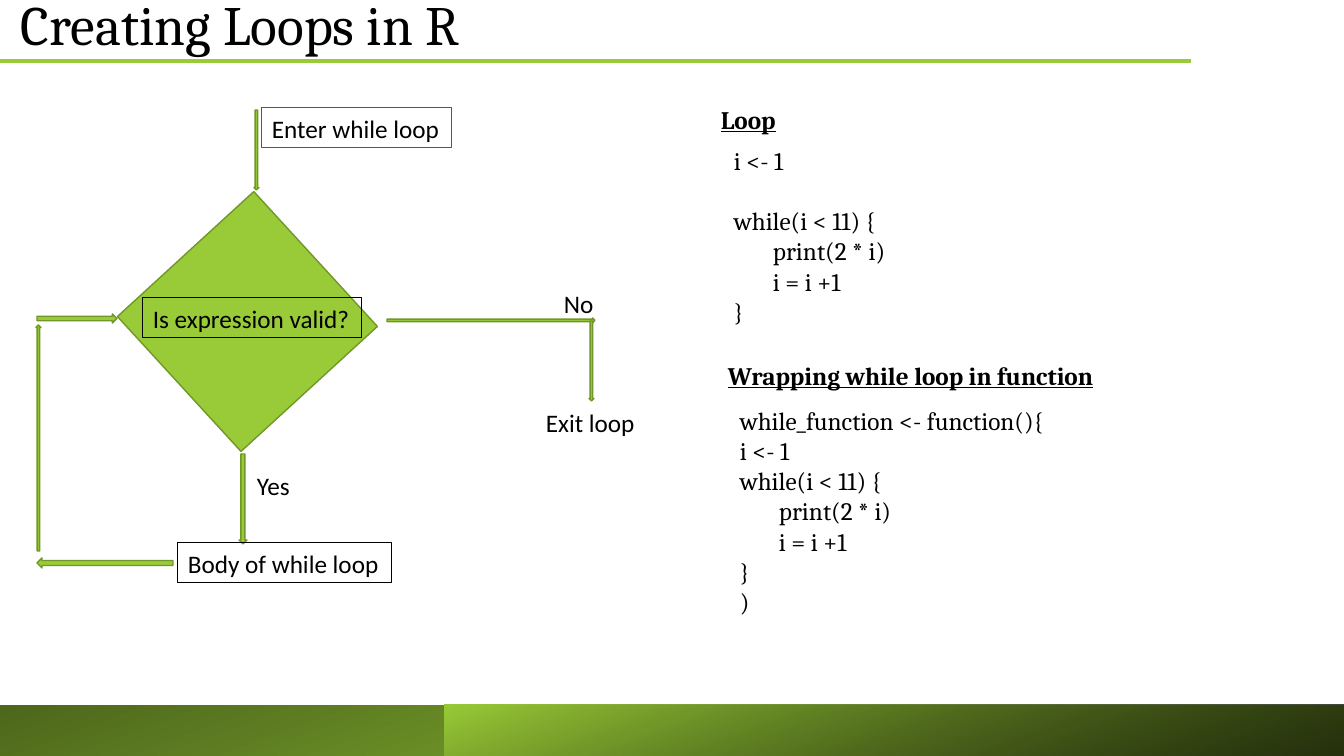
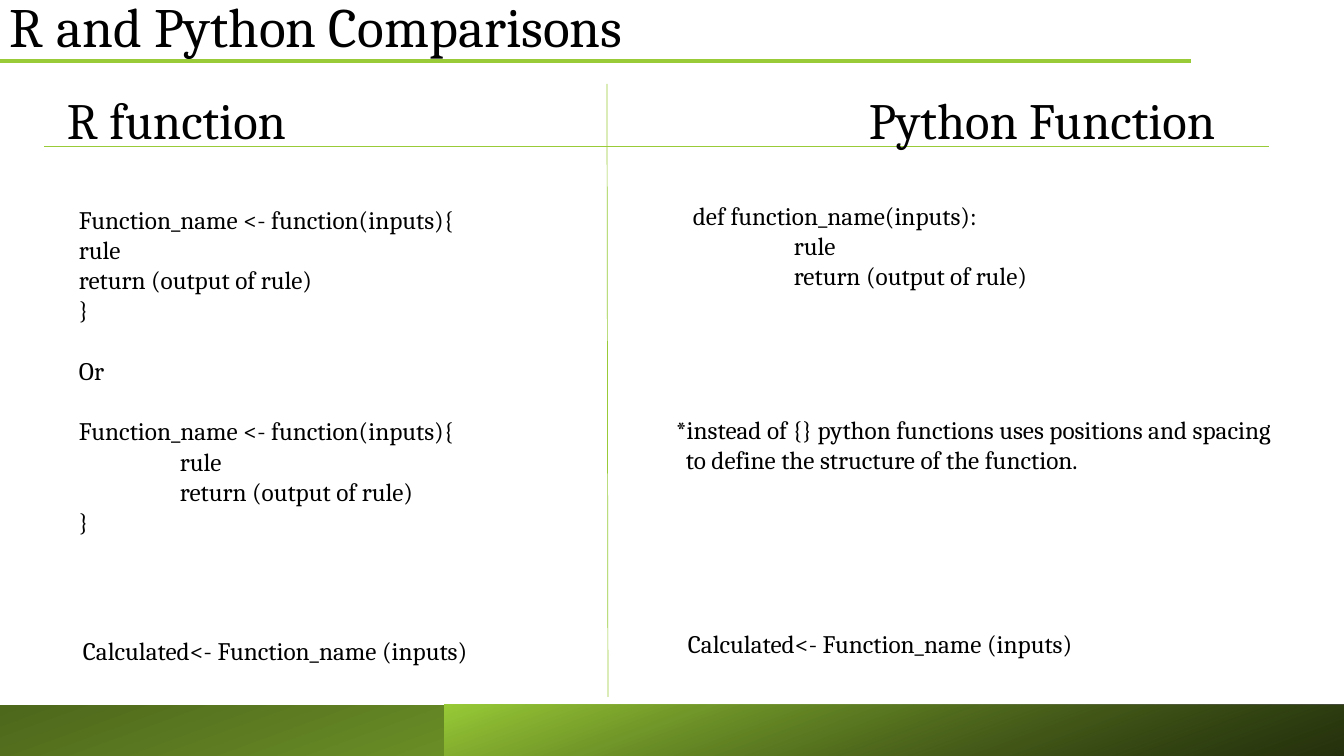
from dataclasses import dataclass
from typing import NamedTuple, Optional

from lxml import etree
from pptx import Presentation
from pptx.dml.color import RGBColor
from pptx.enum.shapes import MSO_CONNECTOR, MSO_SHAPE
from pptx.enum.text import MSO_ANCHOR
from pptx.oxml.ns import qn
from pptx.util import Emu, Pt

RECT = MSO_SHAPE.RECTANGLE
DOWN = MSO_SHAPE.DOWN_ARROW
UP = MSO_SHAPE.UP_ARROW
LEFT = MSO_SHAPE.LEFT_ARROW
RIGHT = MSO_SHAPE.RIGHT_ARROW
STRAIGHT = MSO_CONNECTOR.STRAIGHT
MIDDLE = MSO_ANCHOR.MIDDLE
TOP = MSO_ANCHOR.TOP

WIDE, HIGH = 1344, 756
SCALE = 12192000 / WIDE


@dataclass(frozen=True)
class Theme:
    green: RGBColor = RGBColor(0x99, 0xCB, 0x38)
    moss: RGBColor = RGBColor(0x4D, 0x67, 0x1B)
    edge: RGBColor = RGBColor(0x71, 0x96, 0x29)
    slate: RGBColor = RGBColor(0x45, 0x5F, 0x51)
    black: RGBColor = RGBColor(0, 0, 0)
    serif: str = "Cambria"
    sans: str = "Calibri"
    title: float = 39.6
    head: float = 36.3
    body: float = 18
    gap: float = 21.6


THEME = Theme()


class Box(NamedTuple):
    x: int
    y: int
    w: int
    h: int


class Line(NamedTuple):
    text: str
    indent: int = 0
    gap: bool = False


@dataclass(frozen=True)
class Style:
    size: float = THEME.body
    font: str = THEME.serif
    strong: bool = False
    pitch: Optional[float] = None
    anchor: MSO_ANCHOR = TOP
    wrap: bool = True


@dataclass(frozen=True)
class Arrow:
    kind: MSO_SHAPE
    box: Box


@dataclass(frozen=True)
class Label:
    text: str
    box: Box
    edge: Optional[RGBColor] = None


@dataclass(frozen=True)
class Block:
    box: Box
    lines: list[Line]
    style: Style = Style()


BODY = Style()
STRONG = Style(strong=True)
PLAIN = Style(font=THEME.sans, wrap=False)
TITLE = Style(size=THEME.title, pitch=0.7, anchor=MIDDLE)
HEAD = Style(size=THEME.head, pitch=0.8, anchor=MIDDLE)

STEP, TAB = 39, 101

ARROWS = [
    Arrow(DOWN, Box(254, 110, 5, 80)),
    Arrow(DOWN, Box(239, 454, 8, 90)),
    Arrow(RIGHT, Box(387, 318, 208, 5)),
    Arrow(DOWN, Box(589, 321, 5, 80)),
    Arrow(LEFT, Box(37, 558, 136, 10)),
    Arrow(UP, Box(36, 325, 5, 226)),
    Arrow(RIGHT, Box(37, 314, 80, 9)),
]
LABELS = [
    Label("Enter while loop", Box(262, 108, 190, 40), THEME.slate),
    Label("Is expression valid?", Box(143, 298, 219, 40), THEME.black),
    Label("No", Box(554, 283, 50, 40)),
    Label("Exit loop", Box(536, 402, 110, 40)),
    Label("Body of while loop", Box(178, 543, 214, 40), THEME.black),
    Label("Yes", Box(247, 465, 53, 40)),
]


def loop(gap: bool) -> list[Line]:
    """Code of the while loop, with or without a gap after its first line."""
    return [
        Line("i <- 1"),
        Line("while(i < 11) {", gap=gap),
        Line("print(2 * i)", STEP),
        Line("i = i +1", STEP),
        Line("}"),
    ]


def rule(indent: int) -> list[Line]:
    return [Line("rule", indent), Line("return (output of rule)", indent)]


OPEN = "Function_name <- function(inputs){"
CALL = [Line("Calculated<- Function_name (inputs)")]

LOOPS = [
    Block(Box(711, 99, 274, 38), [Line("Loop")], STRONG),
    Block(Box(724, 140, 420, 194), loop(True)),
    Block(Box(718, 355, 454, 40), [Line("Wrapping while loop in function")], STRONG),
    Block(Box(730, 400, 420, 224),
          [Line("while_function <- function(){"), *loop(False), Line(")")]),
]
PAIRS = [
    Block(Box(57, 93, 500, 63), [Line("R function")], HEAD),
    Block(Box(859, 93, 440, 63), [Line("Python Function")], HEAD),
    Block(Box(69, 199, 420, 400), [
        Line(OPEN), *rule(0), Line("}"),
        Line("Or", gap=True),
        Line(OPEN, gap=True), *rule(TAB), Line("}"),
    ]),
    Block(Box(73, 630, 451, 40), CALL),
    Block(Box(683, 195, 584, 132), [Line("def function_name(inputs):"), *rule(TAB)]),
    Block(Box(666, 409, 670, 72), [
        Line("*instead of {} python functions uses positions and spacing"),
        Line("to define the structure of the function.", 10),
    ]),
    Block(Box(678, 623, 626, 40), CALL),
]


def px(size: int) -> Emu:
    return Emu(round(size * SCALE))


def place(box: Box) -> list[Emu]:
    return [px(side) for side in box]


def write(slide, box: Box, lines: list[Line], style: Style = BODY):
    shape = slide.shapes.add_textbox(*place(box))
    frame = shape.text_frame
    frame.word_wrap = style.wrap
    frame.vertical_anchor = style.anchor
    for i, line in enumerate(lines):
        para = frame.add_paragraph() if i else frame.paragraphs[0]
        para.text = line.text
        font = para.font
        font.name, font.size = style.font, Pt(style.size)
        font.color.rgb = THEME.black
        if style.strong:
            font.bold = font.underline = True
        if style.pitch:
            para.line_spacing = style.pitch
        if line.gap:
            para.space_before = Pt(THEME.gap)
        if line.indent:
            para._p.get_or_add_pPr().set("marL", str(px(line.indent)))
    return shape


def solid(slide, kind: MSO_SHAPE, box: Box, turn: float = 0) -> None:
    shape = slide.shapes.add_shape(kind, *place(box))
    shape.shadow.inherit = False
    shape.rotation = turn
    shape.fill.solid()
    shape.fill.fore_color.rgb = THEME.green
    shape.line.color.rgb = THEME.edge
    shape.line.width = Pt(1)


def stroke(slide, start: tuple[int, int], end: tuple[int, int], width: float) -> None:
    line = slide.shapes.add_connector(STRAIGHT, *map(px, start + end))
    line.line.color.rgb = THEME.green
    line.line.width = Pt(width)
    etree.SubElement(line._element.spPr, qn("a:effectLst"))


def band(slide, left: int, first: RGBColor, last: RGBColor, alpha: int = 100) -> None:
    """Footer strip from left to the slide's edge; alpha fades its last colour."""
    shape = slide.shapes.add_shape(RECT, *place(Box(left, 705, WIDE - left, 51)))
    shape.shadow.inherit = False
    shape.line.fill.background()
    shape.fill.gradient()
    shape.fill.gradient_angle = 290
    for stop, tint in zip(shape.fill.gradient_stops, (first, last)):
        stop.color.rgb = tint
    if alpha < 100:
        tints = list(shape._element.spPr.iter(qn("a:srgbClr")))
        etree.SubElement(tints[-1], qn("a:alpha")).set("val", str(alpha * 1000))


def start(deck, title: str, left: int, top: int):
    """Add a slide with the shared footer, title and title rule."""
    slide = deck.slides.add_slide(deck.slide_layouts[6])
    band(slide, 0, THEME.moss, THEME.green)
    band(slide, 445, THEME.green, THEME.black, 76)
    write(slide, Box(left, top, 766, 63), [Line(title)], TITLE)
    stroke(slide, (0, 61), (1191, 61), 3)
    return slide


def fill(slide, blocks: list[Block]) -> None:
    for block in blocks:
        write(slide, block.box, block.lines, block.style)


def chart(slide) -> None:
    """Draw the flow of the while loop."""
    solid(slide, RECT, Box(155, 230, 185, 183), 317.5)
    for arrow in ARROWS:
        solid(slide, arrow.kind, arrow.box)
    for label in LABELS:
        shape = write(slide, label.box, [Line(label.text)], PLAIN)
        if label.edge is not None:
            shape.line.color.rgb = label.edge
            shape.line.width = Pt(0.75)


def main() -> None:
    deck = Presentation()
    deck.slide_width, deck.slide_height = px(WIDE), px(HIGH)

    loops = start(deck, "Creating Loops in R", 11, 0)
    chart(loops)
    fill(loops, LOOPS)

    pairs = start(deck, "R and Python Comparisons", 0, 2)
    stroke(pairs, (607, 84), (608, 697), 0.5)
    stroke(pairs, (44, 146), (1269, 146), 0.5)
    fill(pairs, PAIRS)

    deck.save("out.pptx")


if __name__ == "__main__":
    main()
